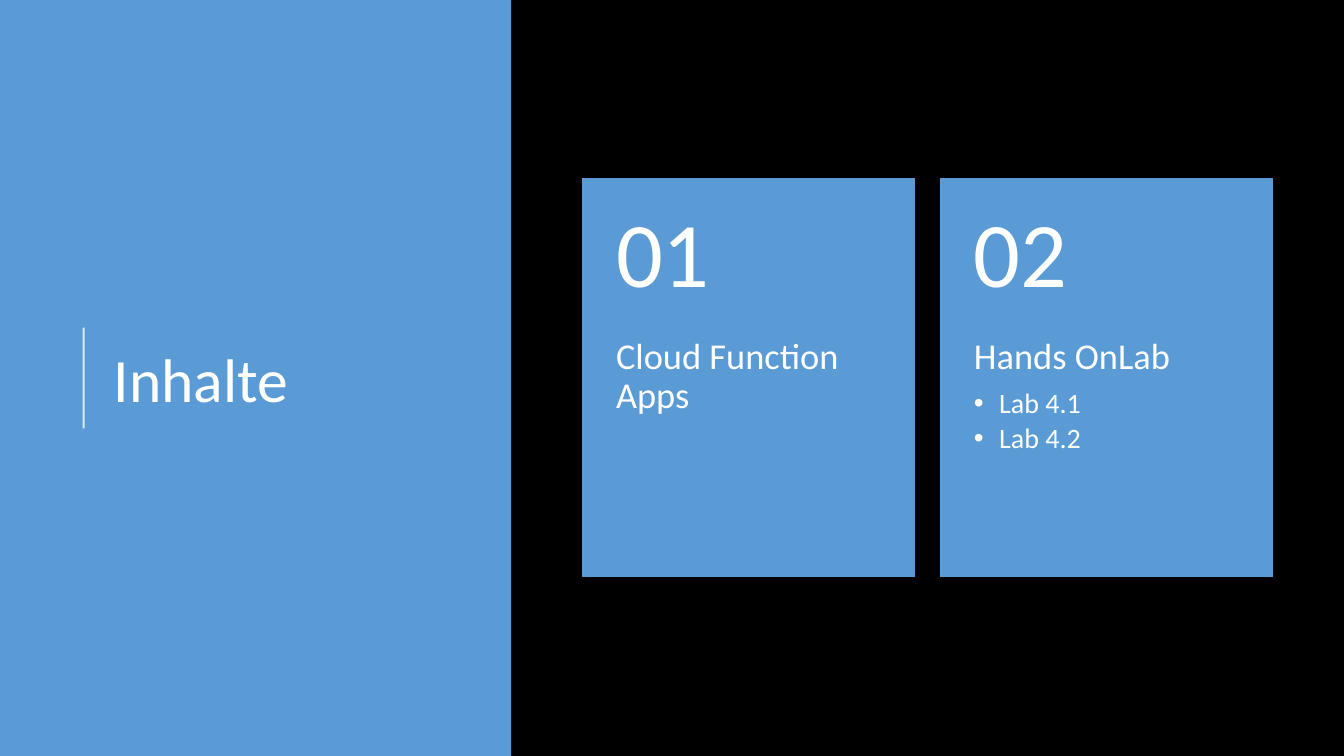
import dataclasses

import pptx
import pptx.dml.color
import pptx.enum.shapes
import pptx.enum.text
import pptx.oxml.ns
import pptx.util
from lxml import etree

Inches = pptx.util.Inches
Pt = pptx.util.Pt
RGBColor = pptx.dml.color.RGBColor
Anchor = pptx.enum.text.MSO_ANCHOR
qn = pptx.oxml.ns.qn

BLACK = RGBColor(0x00, 0x00, 0x00)
WHITE = RGBColor(0xFF, 0xFF, 0xFF)
BLUE = RGBColor(0x5B, 0x9B, 0xD5)
FONT = "Calibri"

PAGE_WIDTH, PAGE_HEIGHT = Inches(13.33), Inches(7.5)
CARD_LEFT, CARD_TOP = Inches(5.78), Inches(1.77)
CARD_WIDTH, CARD_HEIGHT = Inches(3.29), Inches(3.95)
CARD_PITCH = Inches(3.55)
NUMBER_HEIGHT = Inches(1.58)
CARD_INSET = Inches(0.33)


@dataclasses.dataclass(frozen=True)
class Card:
    """One numbered topic of the agenda."""
    heading: str
    bullets: tuple[str, ...] = ()


CARDS = (
    Card("Cloud Function Apps"),
    Card("Hands OnLab", ("Lab 4.1", "Lab 4.2")),
)


def add_block(shapes, left: int, top: int, width: int, height: int, *, outlined: bool = False) -> None:
    """Draw a blue rectangle, with a blue outline if asked."""
    block = shapes.add_shape(pptx.enum.shapes.MSO_SHAPE.RECTANGLE, left, top, width, height)
    block.shadow.inherit = False
    block.fill.solid()
    block.fill.fore_color.rgb = BLUE
    if outlined:
        block.line.color.rgb = BLUE
        block.line.width = Pt(1)
    else:
        block.line.fill.background()


def add_frame(shapes, left: int, top: int, width: int, height: int, *, anchor=Anchor.TOP,
              side: int = Inches(0.1), above: int = Inches(0.05), below: int = Inches(0.05)):
    """Add a wrapping text box and return its text frame."""
    frame = shapes.add_textbox(left, top, width, height).text_frame
    frame.word_wrap = True
    frame.vertical_anchor = anchor
    frame.margin_left = frame.margin_right = side
    frame.margin_top, frame.margin_bottom = above, below
    return frame


def write(para, text: str, *, size: int, after: int = 0, bullet: bool = False) -> None:
    """Write white text into a paragraph, as a bullet item if asked."""
    para.line_spacing = 0.9
    para.space_after = Pt(after)
    span = para.add_run()
    span.text = text
    span.font.name = FONT
    span.font.size = Pt(size)
    span.font.color.rgb = WHITE
    if bullet:
        para.level = 1
        properties = para._p.get_or_add_pPr()
        properties.set("marL", str(Inches(0.25)))
        properties.set("indent", str(-Inches(0.25)))
        etree.SubElement(properties, qn("a:buFont"), typeface="Arial")
        etree.SubElement(properties, qn("a:buChar"), char="•")


def add_accent(shapes) -> None:
    """Draw the slightly transparent line beside the title."""
    accent = shapes.add_connector(pptx.enum.shapes.MSO_CONNECTOR.STRAIGHT,
                                  Inches(0.83), Inches(4.25), Inches(0.83), Inches(3.25))
    accent.line.color.rgb = WHITE
    accent.line.width = Pt(1.5)
    colour = accent.line._ln.find(".//" + qn("a:srgbClr"))
    etree.SubElement(colour, qn("a:alpha"), val="80000")
    etree.SubElement(accent._element.spPr, qn("a:effectLst"))


def add_card(page, index: int, card: Card) -> None:
    """Draw a card as a group of block, topic text and number."""
    shapes = page.shapes.add_group_shape().shapes
    left = CARD_LEFT + index * CARD_PITCH
    add_block(shapes, left, CARD_TOP, CARD_WIDTH, CARD_HEIGHT, outlined=True)

    topic = add_frame(shapes, left, CARD_TOP + NUMBER_HEIGHT, CARD_WIDTH, CARD_HEIGHT - NUMBER_HEIGHT,
                      side=CARD_INSET, above=Inches(0), below=Inches(0.36))
    write(topic.paragraphs[0], card.heading, size=26, after=9)
    for bullet in card.bullets:
        write(topic.add_paragraph(), bullet, size=20, after=3, bullet=True)

    number = add_frame(shapes, left, CARD_TOP, CARD_WIDTH, NUMBER_HEIGHT, anchor=Anchor.MIDDLE,
                       side=CARD_INSET, above=Inches(0.18), below=Inches(0.18))
    write(number.paragraphs[0], f"{index + 1:02d}", size=66)


def main() -> None:
    """Build the agenda slide and save it."""
    deck = pptx.Presentation()
    deck.slide_width, deck.slide_height = PAGE_WIDTH, PAGE_HEIGHT
    page = deck.slides.add_slide(deck.slide_layouts[6])
    page.background.fill.solid()
    page.background.fill.fore_color.rgb = BLACK

    add_block(page.shapes, Inches(0), Inches(0), Inches(5.07), PAGE_HEIGHT)
    add_accent(page.shapes)
    title = add_frame(page.shapes, Inches(1.03), Inches(0.78), Inches(3.69), Inches(6.02),
                      anchor=Anchor.MIDDLE)
    write(title.paragraphs[0], "Inhalte", size=44)
    for index, card in enumerate(CARDS):
        add_card(page, index, card)
    deck.save("out.pptx")


main()
